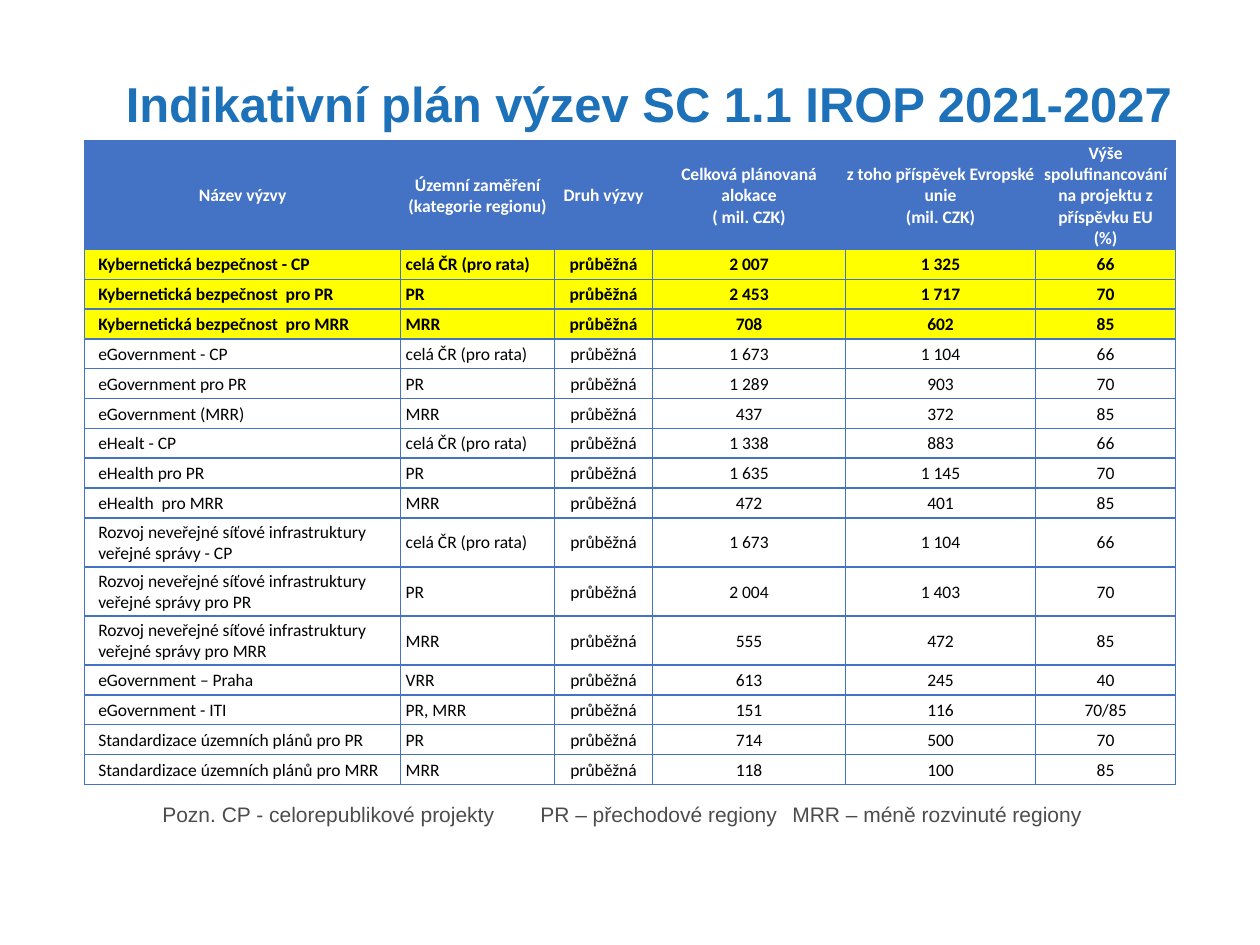
from typing import NamedTuple

from lxml import etree
from pptx import Presentation
from pptx.dml.color import RGBColor
from pptx.enum import text
from pptx.oxml.ns import qn
from pptx.util import Inches, Pt

COLORS = {"title": "1D71B8", "table": "4472C4", "highlight": "FFFF00",
          "header_text": "FFFFFF", "body_text": "000000", "note": "4C4C4C"}
COLUMN_WIDTHS = [2.51, 1.22, 0.78, 1.53, 1.51, 1.11]
TABLE_HEIGHT, HEADER_HEIGHT, TWO_LINE_HEIGHT = 5.11, 0.86, 0.39
LEFT_INDENTS = {0: 0.1, 1: 0.03}  # the other columns are centred
HEADERS = [
    "Název výzvy",
    "Územní zaměření\n(kategorie regionu)",
    "Druh výzvy",
    "Celková plánovaná alokace\n( mil. CZK)",
    "z toho příspěvek Evropské unie\n(mil. CZK)",
    "Výše spolufinancování na projektu z příspěvku EU\n(%)",
]
ALL_REGIONS = "celá ČR (pro rata)"
NETWORK = "Rozvoj neveřejné síťové infrastruktury veřejné správy"


class Call(NamedTuple):
    name: str
    region: str
    allocation: str
    eu_share: str
    rate: str
    highlighted: bool = False
    two_lines: bool = False

    def cells(self) -> list[str]:
        return [self.name, self.region, "průběžná",
                self.allocation, self.eu_share, self.rate]


CALLS = [
    Call("Kybernetická bezpečnost - CP", ALL_REGIONS, "2 007", "1 325", "66", highlighted=True),
    Call("Kybernetická bezpečnost  pro PR", "PR", "2 453", "1 717", "70", highlighted=True),
    Call("Kybernetická bezpečnost  pro MRR", "MRR", "708", "602", "85", highlighted=True),
    Call("eGovernment - CP", ALL_REGIONS, "1 673", "1 104", "66"),
    Call("eGovernment pro PR", "PR", "1 289", "903", "70"),
    Call("eGovernment (MRR)", "MRR", "437", "372", "85"),
    Call("eHealt - CP", ALL_REGIONS, "1 338", "883", "66"),
    Call("eHealth pro PR", "PR", "1 635", "1 145", "70"),
    Call("eHealth  pro MRR", "MRR", "472", "401", "85"),
    Call(f"{NETWORK} - CP", ALL_REGIONS, "1 673", "1 104", "66", two_lines=True),
    Call(f"{NETWORK} pro PR", "PR", "2 004", "1 403", "70", two_lines=True),
    Call(f"{NETWORK} pro MRR", "MRR", "555", "472", "85", two_lines=True),
    Call("eGovernment – Praha", "VRR", "613", "245", "40"),
    Call("eGovernment - ITI", "PR, MRR", "151", "116", "70/85"),
    Call("Standardizace územních plánů pro PR", "PR", "714", "500", "70"),
    Call("Standardizace územních plánů pro MRR", "MRR", "118", "100", "85"),
]


def set_font(p, name: str, size: float, color: str, bold: bool = False) -> None:
    p.font.name, p.font.size, p.font.bold = name, Pt(size), bold
    p.font.color.rgb = RGBColor.from_string(COLORS[color])


def add_borders(cell) -> None:
    tc_pr = cell._tc.get_or_add_tcPr()
    for i, side in enumerate(("lnL", "lnR", "lnT", "lnB")):
        ln = etree.Element(qn(f"a:{side}"), w=str(Pt(1)))
        fill = etree.SubElement(ln, qn("a:solidFill"))
        etree.SubElement(fill, qn("a:srgbClr"), val=COLORS["table"])
        tc_pr.insert(i, ln)


def fill_cell(cell, content: str, color: str, bold: bool,
              fill: str | None, indent: float | None) -> None:
    """Write one cell; an indent of None centres its text."""
    cell.margin_left = cell.margin_right = cell.margin_top = Inches(0.01)
    cell.margin_bottom = 0
    cell.vertical_anchor = text.MSO_ANCHOR.MIDDLE
    add_borders(cell)
    if fill:
        cell.fill.solid()
        cell.fill.fore_color.rgb = RGBColor.from_string(COLORS[fill])
    else:
        cell.fill.background()
    p = cell.text_frame.paragraphs[0]
    p.text = content
    if indent is None:
        p.alignment = text.PP_ALIGN.CENTER
    else:
        p.alignment = text.PP_ALIGN.LEFT
        p._p.get_or_add_pPr().set("marL", str(Inches(indent)))
    set_font(p, "Calibri", 10, color, bold)


def add_title(slide) -> None:
    sp = slide.shapes.title
    sp.left, sp.top = Inches(0.85), Inches(0.05)
    sp.width, sp.height = Inches(8.6), Inches(1.6)
    tf = sp.text_frame
    tf.word_wrap = True
    tf.auto_size = text.MSO_AUTO_SIZE.NONE
    tf.vertical_anchor = text.MSO_ANCHOR.MIDDLE
    p = tf.paragraphs[0]
    p.text = "Indikativní plán výzev SC 1.1 IROP 2021-2027"
    p.alignment, p.line_spacing = text.PP_ALIGN.CENTER, 0.9
    set_font(p, "Arial", 28, "title", bold=True)


def add_calls_table(slide) -> None:
    table = slide.shapes.add_table(
        len(CALLS) + 1, len(HEADERS), Inches(0.67), Inches(1.12),
        Inches(sum(COLUMN_WIDTHS)), Inches(TABLE_HEIGHT)).table
    table.horz_banding = False
    for column, width in zip(table.columns, COLUMN_WIDTHS):
        column.width = Inches(width)

    doubles = sum(call.two_lines for call in CALLS)
    single_height = ((TABLE_HEIGHT - HEADER_HEIGHT - doubles * TWO_LINE_HEIGHT)
                     / (len(CALLS) - doubles))
    table.rows[0].height = Inches(HEADER_HEIGHT)
    for col, header in enumerate(HEADERS):
        fill_cell(table.cell(0, col), header, "header_text", True, "table", None)
    for row, call in enumerate(CALLS, start=1):
        table.rows[row].height = Inches(TWO_LINE_HEIGHT if call.two_lines else single_height)
        fill = "highlight" if call.highlighted else None
        for col, content in enumerate(call.cells()):
            fill_cell(table.cell(row, col), content, "body_text",
                      call.highlighted, fill, LEFT_INDENTS.get(col))


def add_note(slide) -> None:
    sp = slide.shapes.add_textbox(Inches(1.19), Inches(6.31), Inches(7.61), Inches(0.3))
    tf = sp.text_frame
    tf.word_wrap = False
    tf.auto_size = text.MSO_AUTO_SIZE.SHAPE_TO_FIT_TEXT
    p = tf.paragraphs[0]
    p.text = ("Pozn. CP - celorepublikové projekty\tPR – přechodové regiony"
              "\tMRR – méně rozvinuté regiony")
    set_font(p, "Arial", 12, "note")


def main() -> None:
    prs = Presentation()
    prs.slide_width, prs.slide_height = Inches(10), Inches(7.5)
    slide = prs.slides.add_slide(prs.slide_layouts[5])
    add_title(slide)
    add_calls_table(slide)
    add_note(slide)
    prs.save("out.pptx")


if __name__ == "__main__":
    main()
